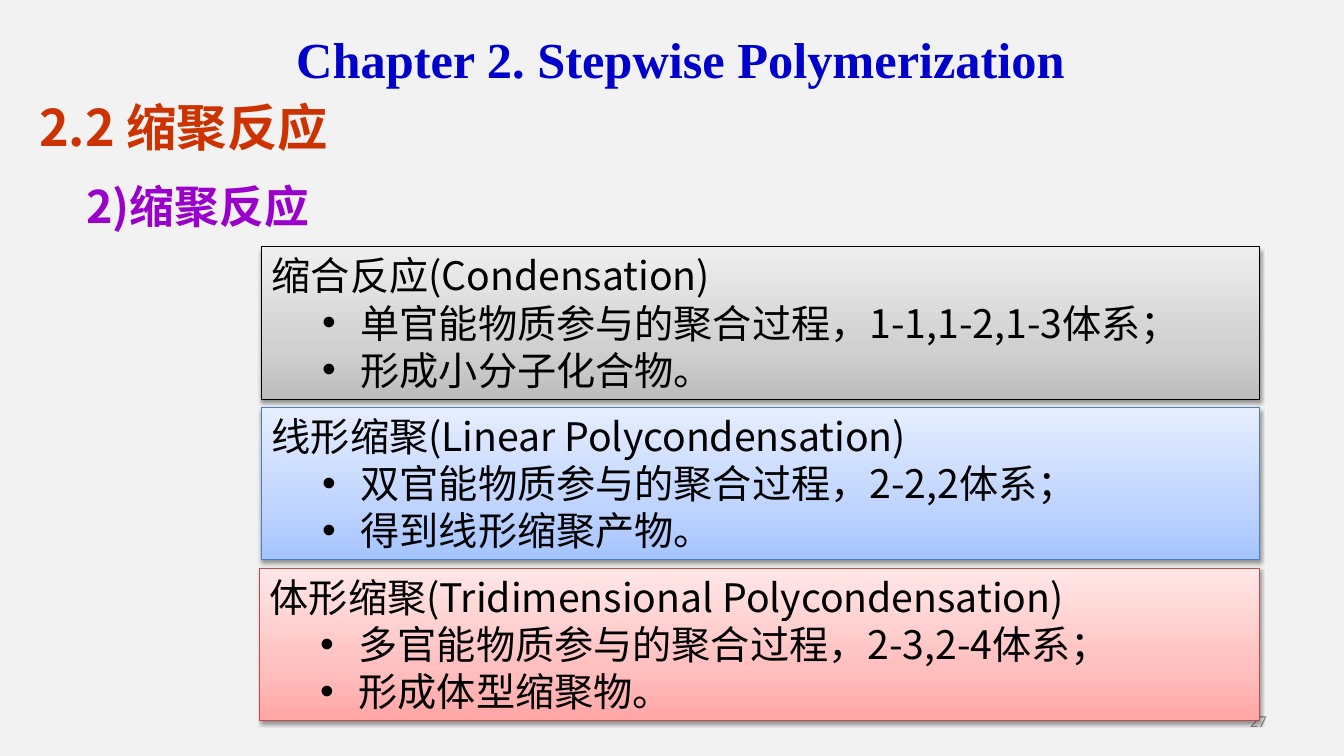
from lxml.etree import SubElement
from pptx import Presentation
from pptx.dml.color import RGBColor
from pptx.enum.shapes import MSO_SHAPE
from pptx.enum.text import MSO_ANCHOR, MSO_AUTO_SIZE, PP_ALIGN
from pptx.oxml import parse_xml
from pptx.oxml.ns import nsdecls, qn
from pptx.util import Cm, Pt

# Content
TITLE = "Chapter 2. Stepwise Polymerization"
SECTION = "2.2 缩聚反应"
SUBSECTION = "2)缩聚反应"
PAGE_NUMBER = "27"

BACKGROUND = RGBColor(0xF2, 0xF2, 0xF2)
BLUE = RGBColor(0x00, 0x00, 0xCC)
ORANGE = RGBColor(0xCC, 0x33, 0x00)
PURPLE = RGBColor(0x99, 0x00, 0xCC)
GREY = RGBColor(0x8C, 0x8C, 0x8C)
BLACK = RGBColor(0x00, 0x00, 0x00)
STEEL = RGBColor(0x4B, 0x7E, 0xBC)
RED = RGBColor(0xBF, 0x4C, 0x48)

CJK_FONT = "Noto Sans CJK SC"

# Left edge (cm), outline, gradient from bottom to top, heading, bullets
REACTIONS = [
    (6.6, BLACK, ("BDBDBD", "D1D1D1", "EEEEEE"), "缩合反应(Condensation)",
     ["单官能物质参与的聚合过程，1-1,1-2,1-3体系；", "形成小分子化合物。"]),
    (6.6, STEEL, ("A4C4FF", "BFD4FF", "E6EEFF"), "线形缩聚(Linear Polycondensation)",
     ["双官能物质参与的聚合过程，2-2,2体系；", "得到线形缩聚产物。"]),
    (6.55, RED, ("FFA6A5", "FFC0BF", "FFE7E7"), "体形缩聚(Tridimensional Polycondensation)",
     ["多官能物质参与的聚合过程，2-3,2-4体系；", "形成体型缩聚物。"]),
]
BOX_TOP, BOX_PITCH, BOX_HEIGHT, BOX_RIGHT = 6.22, 4.05, 3.84, 31.75


def write(paragraph, text, size, color, font=CJK_FONT, bold=False,
          align=PP_ALIGN.LEFT, bullet=False):
    paragraph.alignment = align
    if bullet:
        paragraph.level = 1
        properties = paragraph._p.get_or_add_pPr()
        properties.set("marL", str(Cm(2.24)))
        properties.set("indent", str(-Cm(0.97)))
        SubElement(properties, qn("a:buFont")).set("typeface", "Arial")
        SubElement(properties, qn("a:buChar")).set("char", "•")
    run = paragraph.add_run()
    run.text = text
    run.font.name = font
    run.font.size = Pt(size)
    run.font.bold = bold
    run.font.color.rgb = color
    SubElement(run._r.get_or_add_rPr(), qn("a:ea")).set("typeface", font)


def add_text(slide, left, top, width, height, text, anchor=MSO_ANCHOR.TOP, **style):
    frame = slide.shapes.add_textbox(Cm(left), Cm(top), Cm(width), Cm(height)).text_frame
    frame.word_wrap = True
    frame.vertical_anchor = anchor
    write(frame.paragraphs[0], text, **style)


def add_gradient_and_shadow(shape, colors):
    stops = "".join(
        f'<a:gs pos="{position}"><a:srgbClr val="{color}"/></a:gs>'
        for position, color in zip((0, 35000, 100000), colors))
    properties = shape._element.spPr
    properties.find(qn("a:ln")).addprevious(parse_xml(
        f'<a:gradFill {nsdecls("a")} rotWithShape="1"><a:gsLst>{stops}</a:gsLst>'
        '<a:lin ang="16200000" scaled="1"/></a:gradFill>'))
    shape.shadow.inherit = False
    properties.find(qn("a:effectLst")).append(parse_xml(
        f'<a:outerShdw {nsdecls("a")} blurRad="40000" dist="20000" dir="5400000" '
        'rotWithShape="0"><a:srgbClr val="000000"><a:alpha val="38000"/></a:srgbClr>'
        '</a:outerShdw>'))


def add_reaction(slide, top, left, outline, colors, heading, bullets):
    shape = slide.shapes.add_shape(
        MSO_SHAPE.RECTANGLE, Cm(left), Cm(top), Cm(BOX_RIGHT - left), Cm(BOX_HEIGHT))
    shape.line.color.rgb = outline
    shape.line.width = Pt(0.75)
    add_gradient_and_shadow(shape, colors)
    frame = shape.text_frame
    frame.word_wrap = True
    frame.vertical_anchor = MSO_ANCHOR.TOP
    style = dict(size=28, color=BLACK, align=PP_ALIGN.JUSTIFY)
    write(frame.paragraphs[0], heading, **style)
    for bullet in bullets:
        write(frame.add_paragraph(), bullet, bullet=True, **style)


def main():
    presentation = Presentation()
    presentation.slide_width, presentation.slide_height = Cm(33.87), Cm(19.05)
    slide = presentation.slides.add_slide(presentation.slide_layouts[5])
    slide.background.fill.solid()
    slide.background.fill.fore_color.rgb = BACKGROUND

    # Title
    title = slide.shapes.title
    title.left, title.top, title.width, title.height = Cm(7.21), Cm(0.58), Cm(20.09), Cm(1.8)
    title.text_frame.word_wrap = False
    title.text_frame.auto_size = MSO_AUTO_SIZE.NONE
    title.text_frame.vertical_anchor = MSO_ANCHOR.TOP
    write(title.text_frame.paragraphs[0], TITLE, size=36, color=BLUE,
          font="Times New Roman", bold=True)

    # Page number and section headings
    add_text(slide, 24.28, 17.65, 7.9, 1.02, PAGE_NUMBER, anchor=MSO_ANCHOR.MIDDLE,
             size=12, color=GREY, font="Calibri", align=PP_ALIGN.RIGHT)
    add_text(slide, 0.74, 2.31, 23.22, 1.8, SECTION, size=36, color=ORANGE, bold=True)
    add_text(slide, 1.93, 4.39, 23.39, 1.8, SUBSECTION, size=32, color=PURPLE, bold=True)

    # Reaction boxes
    for index, reaction in enumerate(REACTIONS):
        add_reaction(slide, BOX_TOP + index * BOX_PITCH, *reaction)

    presentation.save("out.pptx")


if __name__ == "__main__":
    main()
